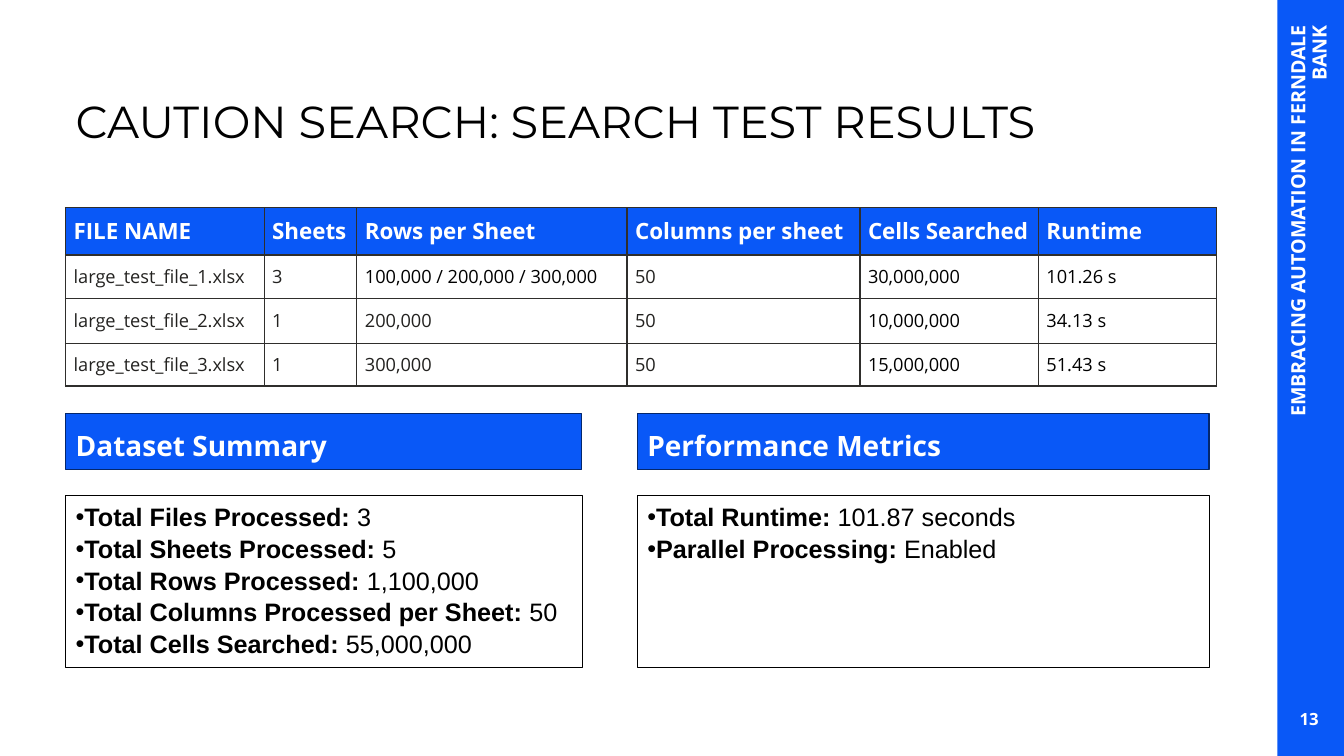
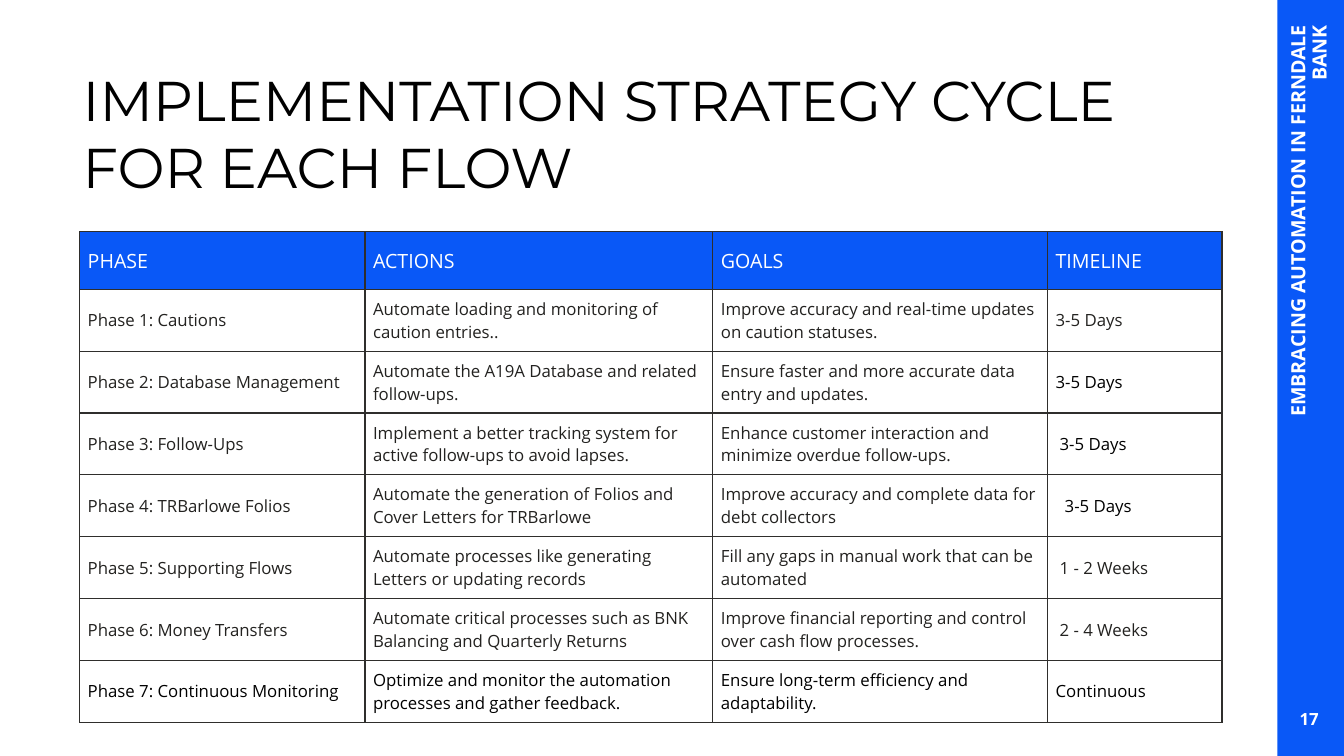
from lxml.etree import SubElement
from pptx import Presentation
from pptx.dml.color import RGBColor
from pptx.enum.shapes import MSO_SHAPE
from pptx.enum.text import MSO_ANCHOR, MSO_AUTO_SIZE, PP_ALIGN
from pptx.oxml.ns import qn
from pptx.util import Inches, Pt

BLUE = RGBColor(0x09, 0x58, 0xF7)
NAVY = RGBColor(0x04, 0x27, 0x6C)
INK = RGBColor(0x23, 0x22, 0x20)
BORDER = RGBColor(0x2F, 0x2E, 0x2C)
BLACK = RGBColor(0, 0, 0)
WHITE = RGBColor(255, 255, 255)

TITLE_FONT = "Montserrat"
TEXT_FONT = "Open Sans"
LIST_FONT = "Arial"
DECK_NAME = "EMBRACING AUTOMATION IN FERNDALE BANK"
CELL_MARGIN = 0.08

RESULT_ROWS = [
    ["FILE NAME", "Sheets", "Rows per Sheet", "Columns per sheet", "Cells Searched", "Runtime"],
    ["large_test_file_1.xlsx", "3", "100,000 / 200,000 / 300,000", "50", "30,000,000", "101.26 s"],
    ["large_test_file_2.xlsx", "1", "200,000", "50", "10,000,000", "34.13 s"],
    ["large_test_file_3.xlsx", "1", "300,000", "50", "15,000,000", "51.43 s"],
]
DATASET_SUMMARY = [
    ("Total Files Processed:", "3"),
    ("Total Sheets Processed:", "5"),
    ("Total Rows Processed:", "1,100,000"),
    ("Total Columns Processed per Sheet:", "50"),
    ("Total Cells Searched:", "55,000,000"),
]
PERFORMANCE_METRICS = [
    ("Total Runtime:", "101.87 seconds"),
    ("Parallel Processing:", "Enabled"),
]
PHASE_ROWS = [
    ["PHASE", "ACTIONS", "GOALS", "TIMELINE"],
    ["Phase 1: Cautions", "Automate loading and monitoring of caution entries..",
     "Improve accuracy and real-time updates on caution statuses.", "3-5 Days"],
    ["Phase 2: Database Management", "Automate the A19A Database and related follow-ups.",
     "Ensure faster and more accurate data entry and updates.", "3-5 Days"],
    ["Phase 3: Follow-Ups",
     "Implement a better tracking system for active follow-ups to avoid lapses.",
     "Enhance customer interaction and minimize overdue follow-ups.", "3-5 Days"],
    ["Phase 4: TRBarlowe Folios",
     "Automate the generation of Folios and Cover Letters for TRBarlowe",
     "Improve accuracy and complete data for debt collectors", "3-5 Days"],
    ["Phase 5: Supporting Flows",
     "Automate processes like generating Letters or updating records",
     "Fill any gaps in manual work that can be automated", "1 - 2 Weeks"],
    ["Phase 6: Money Transfers",
     "Automate critical processes such as BNK Balancing and Quarterly Returns",
     "Improve financial reporting and control over cash flow processes.", "2 - 4 Weeks"],
    ["Phase 7: Continuous Monitoring",
     "Optimize and monitor the automation processes and gather feedback.",
     "Ensure long-term efficiency and adaptability.", "Continuous"],
]


def format_run(run, font_name, size, color, bold=False):
    """Set the font of one run."""
    run.font.name = font_name
    run.font.size = Pt(size)
    run.font.bold = bold
    run.font.color.rgb = color


def place(shape, box):
    """Move a shape to a (left, top, width, height) box in inches."""
    shape.left, shape.top, shape.width, shape.height = map(Inches, box)


def outline(shape, fill_color, line_color, line_width):
    """Give a shape a solid fill and a line."""
    shape.fill.solid()
    shape.fill.fore_color.rgb = fill_color
    shape.line.color.rgb = line_color
    shape.line.width = Pt(line_width)


def set_title(slide, text, box, size):
    """Fill and place the title placeholder."""
    title = slide.shapes.title
    place(title, box)
    frame = title.text_frame
    frame.text = text
    frame.auto_size = MSO_AUTO_SIZE.NONE
    frame.vertical_anchor = MSO_ANCHOR.TOP
    paragraph = frame.paragraphs[0]
    paragraph.alignment = PP_ALIGN.LEFT
    format_run(paragraph.runs[0], TITLE_FONT, size, BLACK)


def add_band_text(slide, text, box, size, alignment):
    """Add bold white text for the side band and return its box."""
    text_box = slide.shapes.add_textbox(*map(Inches, box))
    frame = text_box.text_frame
    frame.word_wrap = True
    frame.text = text
    paragraph = frame.paragraphs[0]
    paragraph.alignment = alignment
    format_run(paragraph.runs[0], TEXT_FONT, size, WHITE, bold=True)
    return text_box


def add_side_band(slide, number):
    """Add the blue band with the deck name and slide number."""
    band = slide.shapes.add_shape(
        MSO_SHAPE.RECTANGLE, Inches(12.67), 0, Inches(0.67), Inches(7.5))
    band.shadow.inherit = False
    band.fill.solid()
    band.fill.fore_color.rgb = BLUE
    band.line.fill.background()
    deck_name = add_band_text(slide, DECK_NAME, (10.68, 2.2, 4.5, 0.4), 14, PP_ALIGN.RIGHT)
    deck_name.rotation = 270
    deck_name.text_frame.paragraphs[0].line_spacing = 0.9
    page = add_band_text(slide, str(number), (12.65, 6.94, 0.67, 0.39), 12, PP_ALIGN.CENTER)
    page.text_frame.vertical_anchor = MSO_ANCHOR.MIDDLE


def set_cell_borders(cell):
    """Draw the four borders of a table cell."""
    properties = cell._tc.get_or_add_tcPr()
    for position, side in enumerate(("lnL", "lnR", "lnT", "lnB")):
        line = SubElement(properties, qn(f"a:{side}"), w=str(Pt(1)))
        fill = SubElement(line, qn("a:solidFill"))
        SubElement(fill, qn("a:srgbClr"), val=str(BORDER))
        properties.insert(position, line)


def format_cell(cell, text, size, color, bold, fill_color):
    """Fill one table cell with formatted text."""
    cell.fill.solid()
    cell.fill.fore_color.rgb = fill_color
    set_cell_borders(cell)
    cell.vertical_anchor = MSO_ANCHOR.MIDDLE
    cell.margin_left = cell.margin_right = Inches(CELL_MARGIN)
    cell.margin_top = cell.margin_bottom = Inches(CELL_MARGIN)
    cell.text_frame.text = text
    format_run(cell.text_frame.paragraphs[0].runs[0], TEXT_FONT, size, color, bold)


def add_data_table(slide, rows, position, widths, heights, header_size, body_size,
                   header_bold, black_cells):
    """Add a bordered table with a blue header row and return it."""
    left, top = position
    frame = slide.shapes.add_table(
        len(rows), len(widths), Inches(left), Inches(top),
        Inches(sum(widths)), Inches(sum(heights)))
    table = frame.table
    table.horz_banding = False
    for column, width in zip(table.columns, widths):
        column.width = Inches(width)
    for row_index, (row, height) in enumerate(zip(rows, heights)):
        table.rows[row_index].height = Inches(height)
        for column_index, text in enumerate(row):
            cell = table.cell(row_index, column_index)
            if row_index == 0:
                format_cell(cell, text, header_size, WHITE, header_bold, BLUE)
            else:
                color = BLACK if (row_index, column_index) in black_cells else INK
                format_cell(cell, text, body_size, color, False, WHITE)
    return table


def fill_heading(heading, text, box):
    """Turn a text placeholder into a blue panel heading."""
    place(heading, box)
    outline(heading, BLUE, NAVY, 1)
    frame = heading.text_frame
    frame.text = text
    frame.auto_size = MSO_AUTO_SIZE.NONE
    frame.vertical_anchor = MSO_ANCHOR.MIDDLE
    frame.margin_top, frame.margin_bottom = Inches(0.08), 0
    paragraph = frame.paragraphs[0]
    paragraph.space_before = Pt(0)
    format_run(paragraph.runs[0], TEXT_FONT, 20, WHITE, bold=True)


def fill_list(body, items, box):
    """Turn a body placeholder into a framed list of labels and values."""
    place(body, box)
    outline(body, WHITE, BLACK, 0.25)
    frame = body.text_frame
    frame.auto_size = MSO_AUTO_SIZE.NONE
    frame.vertical_anchor = MSO_ANCHOR.TOP
    for index, (label, value) in enumerate(items):
        paragraph = frame.add_paragraph() if index else frame.paragraphs[0]
        paragraph.space_before = Pt(0)
        paragraph.line_spacing = 1.05
        properties = paragraph._p.get_or_add_pPr()
        properties.set("marL", "0")
        properties.set("indent", "0")
        SubElement(properties, qn("a:buChar"), char="•")
        for text, bold in ((label, True), (f" {value}", False)):
            run = paragraph.add_run()
            run.text = text
            format_run(run, LIST_FONT, 18, BLACK, bold)


def add_panel(heading, body, title, items, box):
    """Place a heading above its list within one box."""
    left, top, width, height = box
    list_offset = 0.81
    fill_heading(heading, title, (left, top, width, 0.56))
    fill_list(body, items, (left, top + list_offset, width, height - list_offset))


def build_results_slide(presentation):
    """Build the slide of search test results."""
    slide = presentation.slides.add_slide(presentation.slide_layouts.get_by_name("Comparison"))
    set_title(slide, "CAUTION SEARCH: SEARCH TEST RESULTS", (0.65, 0.88, 11.42, 1.04), 32)
    black_cells = {(row, column) for row in (1, 2, 3) for column in (4, 5)} | {(1, 2)}
    add_data_table(slide, RESULT_ROWS, (0.65, 2.06), [1.97, 0.92, 2.68, 2.31, 1.77, 1.77],
                   [0.47, 0.43, 0.45, 0.42], 16, 13, True, black_cells)
    _, left_heading, left_body, right_heading, right_body = slide.placeholders
    add_panel(left_heading, left_body, "Dataset Summary", DATASET_SUMMARY,
              (0.65, 4.1, 5.12, 2.52))
    add_panel(right_heading, right_body, "Performance Metrics", PERFORMANCE_METRICS,
              (6.32, 4.1, 5.67, 2.52))
    add_side_band(slide, 13)


def build_strategy_slide(presentation):
    """Build the slide of implementation phases."""
    slide = presentation.slides.add_slide(presentation.slide_layouts.get_by_name("Title Only"))
    set_title(slide, "IMPLEMENTATION STRATEGY CYCLE FOR EACH FLOW", (0.72, 0.6, 11.12, 1.5), 40)
    black_cells = {(7, column) for column in range(4)} | {(row, 3) for row in (2, 3, 4)}
    table = add_data_table(slide, PHASE_ROWS, (0.79, 2.3), [2.83, 3.45, 3.32, 1.73],
                           [0.57] + [0.61] * 7, 14, 12, False, black_cells)
    for row, indent in {3: 0.04, 4: 0.09, 5: 0.04, 6: 0.04}.items():
        table.cell(row, 3).margin_left = Inches(CELL_MARGIN + indent)
    add_side_band(slide, 17)


def main():
    """Build and save the presentation."""
    presentation = Presentation()
    presentation.slide_width = Inches(13.33)
    presentation.slide_height = Inches(7.5)
    build_results_slide(presentation)
    build_strategy_slide(presentation)
    presentation.save("out.pptx")


if __name__ == "__main__":
    main()
